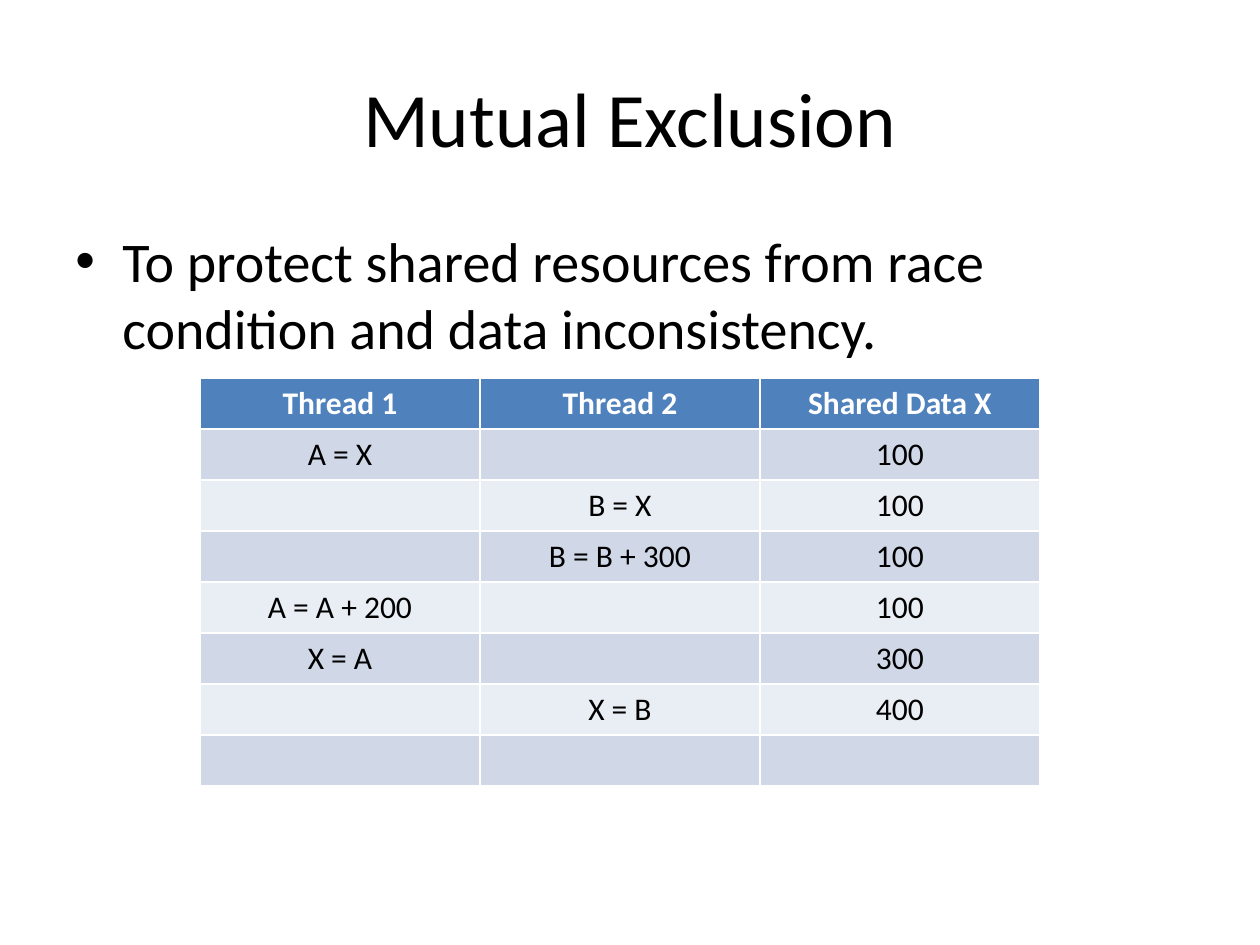
from typing import NamedTuple

from lxml import etree
from pptx import Presentation
from pptx import util as u
from pptx.dml.color import RGBColor
from pptx.enum import text
from pptx.oxml.ns import qn

PX = 914400 / 126
FONT = "Calibri"
BLACK, WHITE = "000000", "FFFFFF"
HEAD, BANDS = "4F81BD", ("D0D8E8", "E9EDF4")


class Box(NamedTuple):
    x: int
    y: int
    w: int
    h: int


class Step(NamedTuple):
    one: str
    two: str
    data: str


TITLE = Box(63, 38, 1134, 157)
BODY = Box(63, 220, 1134, 158)
GRID = Box(200, 378, 840, 408)
STEPS = [
    Step("Thread 1", "Thread 2", "Shared Data X"),
    Step("A = X", "", "100"),
    Step("", "B = X", "100"),
    Step("", "B = B + 300", "100"),
    Step("A = A + 200", "", "100"),
    Step("X = A", "", "300"),
    Step("", "X = B", "400"),
    Step("", "", ""),
]


def px(n: int) -> u.Emu:
    return u.Emu(round(n * PX))


def rgb(code: str) -> RGBColor:
    return RGBColor.from_string(code)


def style(para, size: int, color: str = BLACK, bold: bool = False) -> None:
    font = para.font
    font.name, font.size, font.bold = FONT, u.Pt(size), bold
    font.color.rgb = rgb(color)


def add_title(slide, box: Box, words: str) -> None:
    shape = slide.shapes.title
    shape.left, shape.top, shape.width, shape.height = map(px, box)
    frame = shape.text_frame
    frame.text = words
    frame.vertical_anchor = text.MSO_ANCHOR.MIDDLE
    para = frame.paragraphs[0]
    para.alignment = text.PP_ALIGN.CENTER
    style(para, 44)


def add_bullet(slide, box: Box, words: str) -> None:
    frame = slide.shapes.add_textbox(*map(px, box)).text_frame
    frame.word_wrap = True
    frame.text = words
    para = frame.paragraphs[0]
    para.space_before = u.Pt(6.4)
    style(para, 32)
    # Hanging indent and bullet mark
    props = para._p.get_or_add_pPr()
    props.set("marL", str(px(47)))
    props.set("indent", str(-px(47)))
    mark = etree.Element(qn("a:buFont"), typeface="Arial")
    props.find(qn("a:spcBef")).addnext(mark)
    mark.addnext(etree.Element(qn("a:buChar"), char="•"))


def add_grid(slide, box: Box, steps: list[Step]) -> None:
    # The default table style supplies the white rules
    table = slide.shapes.add_table(len(steps), len(Step._fields), *map(px, box)).table
    for r, step in enumerate(steps):
        for c, words in enumerate(step):
            cell = table.cell(r, c)
            cell.fill.solid()
            cell.fill.fore_color.rgb = rgb(BANDS[(r - 1) % 2] if r else HEAD)
            cell.text = words
            para = cell.text_frame.paragraphs[0]
            para.alignment = text.PP_ALIGN.CENTER
            style(para, 18, BLACK if r else WHITE, bold=r == 0)


def main() -> None:
    deck = Presentation()
    deck.slide_width, deck.slide_height = px(1260), px(945)
    slide = deck.slides.add_slide(deck.slide_layouts[5])
    add_title(slide, TITLE, "Mutual Exclusion")
    add_bullet(slide, BODY, "To protect shared resources from race "
               "condition and data inconsistency.")
    add_grid(slide, GRID, STEPS)
    deck.save("out.pptx")


if __name__ == "__main__":
    main()
